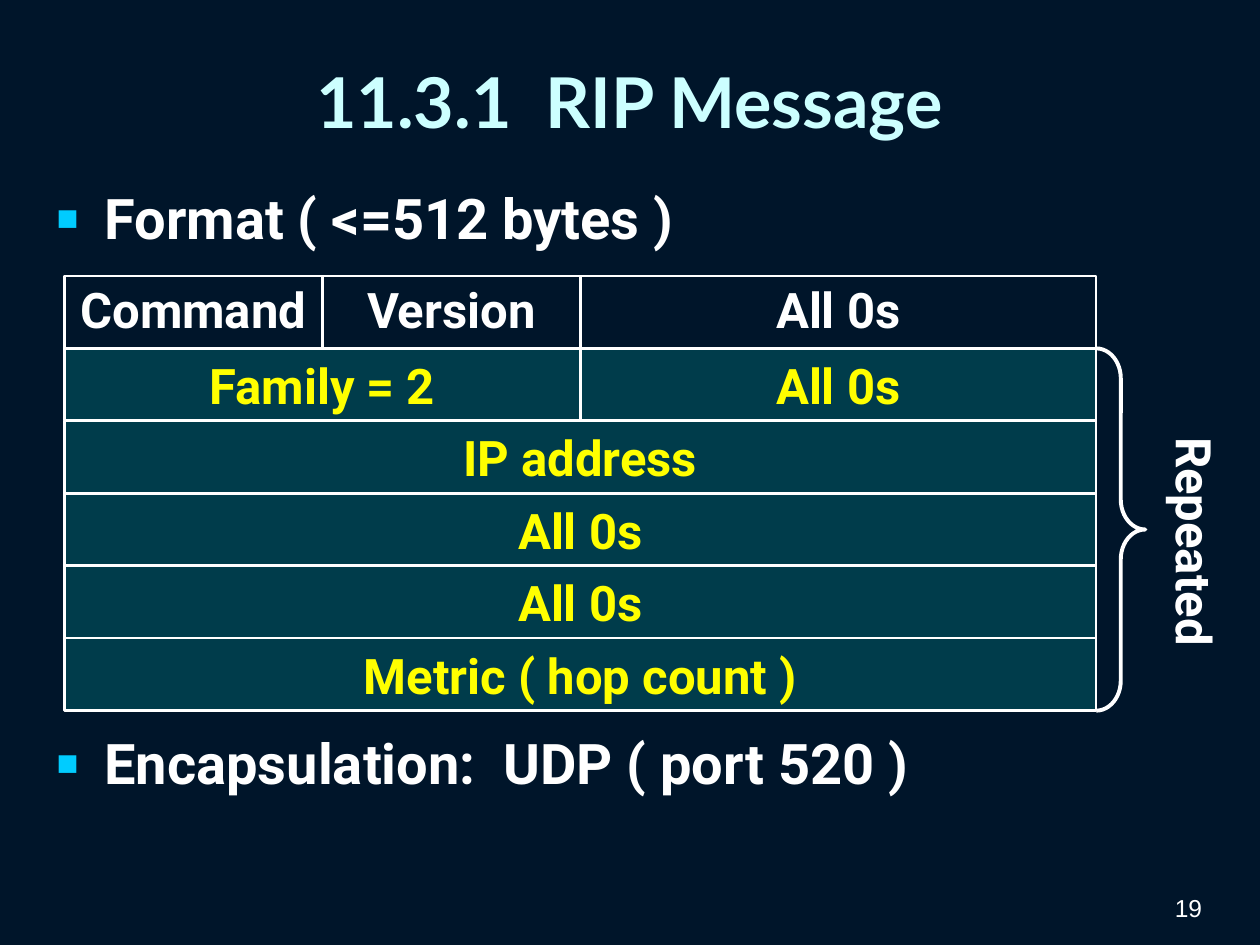
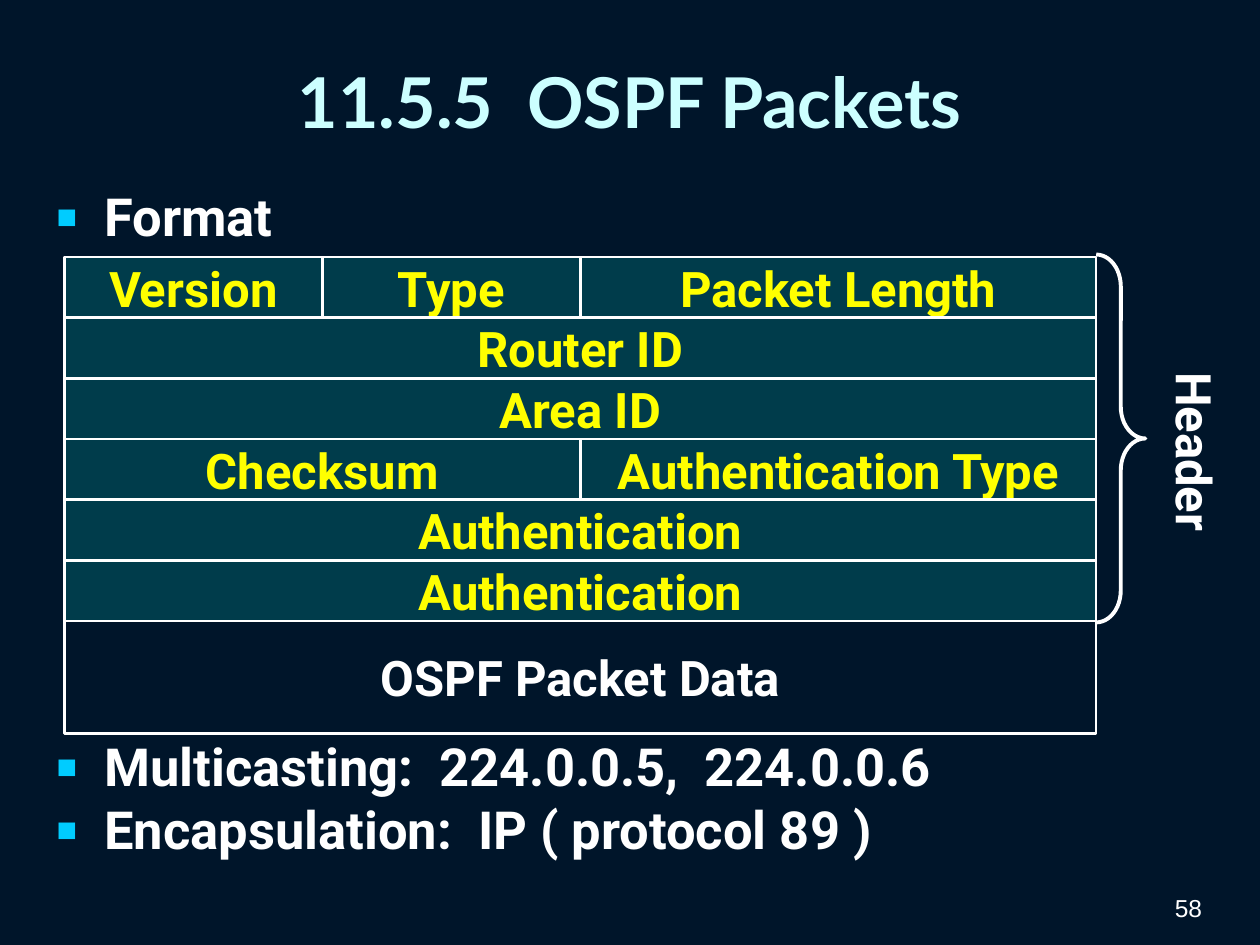
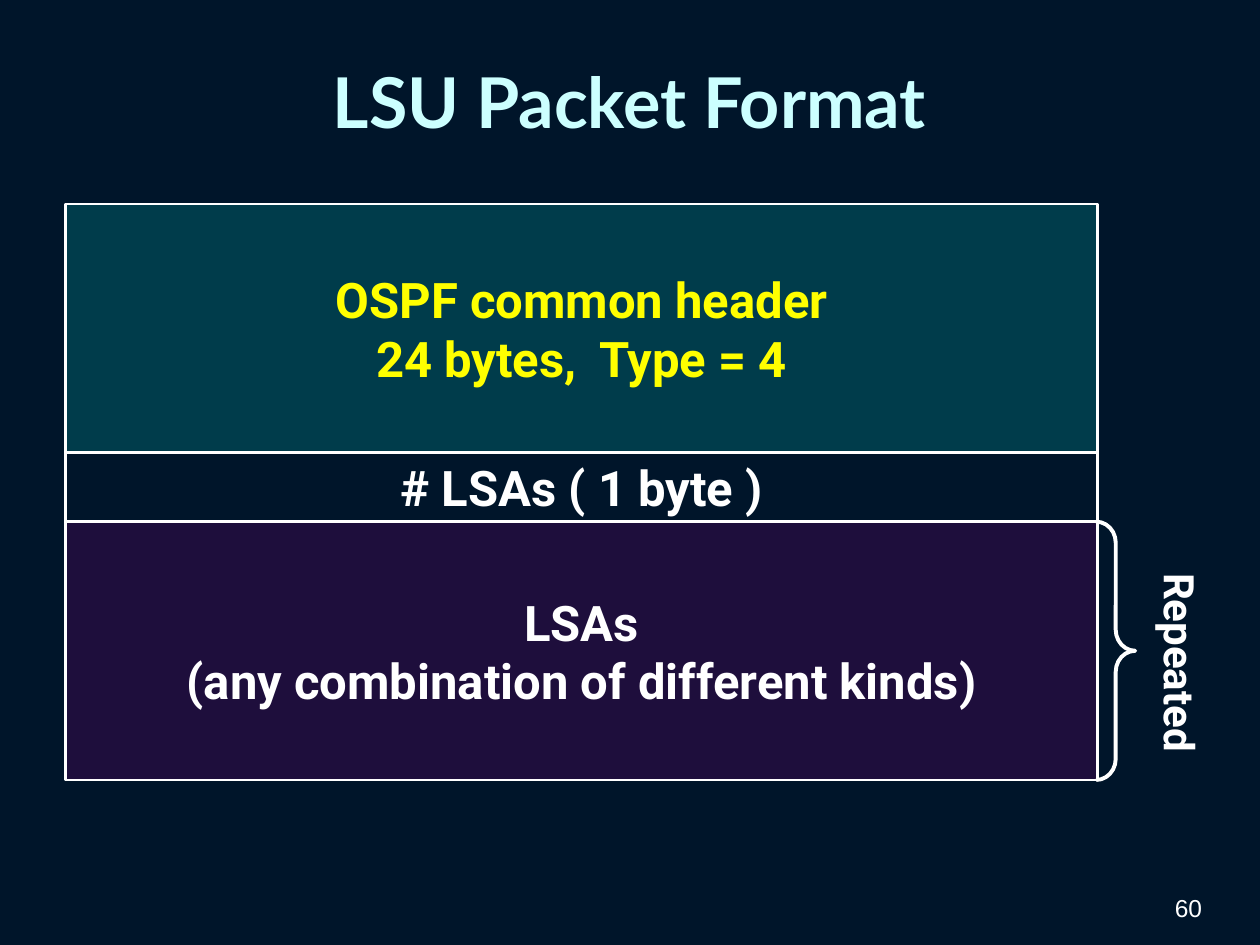
import dataclasses

import pptx
import pptx.dml.color
import pptx.enum.shapes
import pptx.enum.text
import pptx.oxml.ns
import pptx.oxml.xmlchemy
import pptx.util
from pptx.util import Inches

ALIGN = pptx.enum.text.PP_ALIGN
ANCHOR = pptx.enum.text.MSO_ANCHOR
SHAPE = pptx.enum.shapes.MSO_SHAPE
qn = pptx.oxml.ns.qn


@dataclasses.dataclass(frozen=True)
class Theme:
    background: str = "00152A"
    title: str = "CCFFFF"
    text: str = "FFFFFF"
    highlight: str = "FFFF00"
    bullet: str = "00CCFF"
    header_fill: str = "009999"
    repeated_fill: str = "660066"
    fill_opacity: int = 30
    title_font: str = "Lato"
    body_font: str = "Roboto"
    number_font: str = "Arial"
    title_size: int = 40
    field_size: int = 28
    number_size: int = 14
    field_line: float = 1.5
    brace_line: float = 2.25


THEME = Theme()


@dataclasses.dataclass(frozen=True)
class FieldStyle:
    fill: str | None
    color: str


PLAIN = FieldStyle(None, THEME.text)
HEADER = FieldStyle(THEME.header_fill, THEME.highlight)
REPEATED = FieldStyle(THEME.repeated_fill, THEME.text)


@dataclasses.dataclass(frozen=True)
class Row:
    """One row of a message: (text, share of the width) for each field."""
    height: float
    style: FieldStyle
    fields: list
    line_spacing: float = 1.0


def rgb(color):
    return pptx.dml.color.RGBColor.from_string(color)


def add_run(paragraph, text, size, color=THEME.text, font=THEME.body_font, bold=True):
    run = paragraph.add_run()
    run.text = text
    run.font.name = font
    run.font.size = pptx.util.Pt(size)
    run.font.bold = bold
    run.font.color.rgb = rgb(color)


def add_text_box(slide, left, top, width, height, anchor=ANCHOR.TOP):
    box = slide.shapes.add_textbox(Inches(left), Inches(top), Inches(width), Inches(height))
    box.text_frame.word_wrap = True
    box.text_frame.vertical_anchor = anchor
    return box.text_frame


def add_outlined_shape(slide, kind, left, top, width, height, line_width):
    shape = slide.shapes.add_shape(
        kind, Inches(left), Inches(top), Inches(width), Inches(height))
    shape.shadow.inherit = False
    shape.fill.background()
    shape.line.color.rgb = rgb(THEME.text)
    shape.line.width = pptx.util.Pt(line_width)
    return shape


def add_base_slide(presentation, title, number):
    """Blank slide with the shared title and page number."""
    slide = presentation.slides.add_slide(presentation.slide_layouts[6])
    number_frame = add_text_box(slide, 7.31, 6.9, 2.33, 0.47, ANCHOR.BOTTOM)
    paragraph = number_frame.paragraphs[0]
    paragraph.alignment = ALIGN.RIGHT
    add_run(paragraph, number, THEME.number_size, font=THEME.number_font, bold=False)

    title_frame = add_text_box(slide, 0.35, 0.13, 9.29, 1.34, ANCHOR.MIDDLE)
    paragraph = title_frame.paragraphs[0]
    paragraph.alignment = ALIGN.CENTER
    add_run(paragraph, title, THEME.title_size, THEME.title, THEME.title_font)
    return slide


def add_bullets(slide, height, size, items):
    """Bulleted body; each item is (space before in points, text)."""
    frame = add_text_box(slide, 0.35, 1.47, 9.29, height)
    for index, (space_before, text) in enumerate(items):
        paragraph = frame.add_paragraph() if index else frame.paragraphs[0]
        paragraph.line_spacing = 0.9
        paragraph.space_before = pptx.util.Pt(space_before)
        properties = paragraph._p.get_or_add_pPr()
        properties.set("marL", str(Inches(0.38)))
        properties.set("indent", str(Inches(-0.38)))
        bullet_color = properties.makeelement(qn("a:buClr"), {})
        bullet_color.append(properties.makeelement(qn("a:srgbClr"), {"val": THEME.bullet}))
        properties.append(bullet_color)
        for tag, attributes in (("a:buSzPct", {"val": "65000"}),
                                ("a:buFont", {"typeface": THEME.number_font}),
                                ("a:buChar", {"char": "■"})):
            properties.append(properties.makeelement(qn(tag), attributes))
        add_run(paragraph, text, size)


def add_field(slide, left, top, width, row, text):
    """One rectangular field of a message."""
    field = add_outlined_shape(
        slide, SHAPE.RECTANGLE, left, top, width, row.height, THEME.field_line)
    if row.style.fill:
        field.fill.solid()
        field.fill.fore_color.rgb = rgb(row.style.fill)
        color = field.element.spPr.find(qn("a:solidFill")).find(qn("a:srgbClr"))
        opacity = str(THEME.fill_opacity * 1000)
        color.append(color.makeelement(qn("a:alpha"), {"val": opacity}))
    frame = field.text_frame
    frame.word_wrap = False
    frame.vertical_anchor = ANCHOR.MIDDLE
    for index, line in enumerate(text.split("\n")):
        paragraph = frame.add_paragraph() if index else frame.paragraphs[0]
        paragraph.alignment = ALIGN.CENTER
        paragraph.line_spacing = row.line_spacing
        add_run(paragraph, line, THEME.field_size, row.style.color)


def add_message(slide, left, top, rows, width=8.19):
    """Stack the rows from the top, splitting each by its fields' shares."""
    for row in rows:
        field_left = left
        for text, share in row.fields:
            add_field(slide, field_left, top, width * share, row, text)
            field_left += width * share
        top += row.height


def add_brace(slide, top, width, height, curve, label, label_size, label_box):
    """Brace at the right of a message, with a vertical label beside it."""
    left = 8.7
    brace = add_outlined_shape(
        slide, SHAPE.RIGHT_BRACE, left, top, width, height, THEME.brace_line)
    brace.adjustments[0] = curve
    brace.adjustments[1] = 0.5

    label_width, label_height = label_box
    label_top = top + (height - label_height) / 2 + 0.03
    frame = add_text_box(slide, left + width + 0.01, label_top, label_width, label_height)
    frame.word_wrap = False
    frame.auto_size = pptx.enum.text.MSO_AUTO_SIZE.SHAPE_TO_FIT_TEXT
    frame._txBody.bodyPr.set("vert", "eaVert")
    paragraph = frame.paragraphs[0]
    paragraph.alignment = ALIGN.CENTER
    add_run(paragraph, label, label_size)


def build_rip_message(presentation):
    slide = add_base_slide(presentation, "11.3.1  RIP Message", "19")
    add_bullets(slide, 5.43, 32, [
        (0, "Format ( <=512 bytes )"),
        (276.5, "Encapsulation:  UDP ( port 520 )"),
    ])
    top, height = 2.19, 3.45 / 6
    entry = [
        [("Family = 2", 1 / 2), ("All 0s", 1 / 2)],
        [("IP address", 1)],
        [("All 0s", 1)],
        [("All 0s", 1)],
        [("Metric ( hop count )", 1)],
    ]
    first_fields = [("Command", 1 / 4), ("Version", 1 / 4), ("All 0s", 1 / 2)]
    rows = [Row(height, PLAIN, first_fields, 0.9)]
    rows += [Row(height, HEADER, fields) for fields in entry]
    add_message(slide, 0.51, top, rows)
    add_brace(slide, top + height, 0.39, height * len(entry), 0.61,
              "Repeated", 28, (0.67, 1.72))


def build_ospf_packets(presentation):
    slide = add_base_slide(presentation, "11.5.5  OSPF Packets", "58")
    add_bullets(slide, 5.59, 30, [
        (0, "Format"),
        (282, "Multicasting:  224.0.0.5,  224.0.0.6"),
        (3.5, "Encapsulation:  IP ( protocol 89 )"),
    ])
    height = 2.89 / 6
    header = [
        [("Version", 1 / 4), ("Type", 1 / 4), ("Packet Length", 1 / 2)],
        [("Router ID", 1)],
        [("Area ID", 1)],
        [("Checksum", 1 / 2), ("Authentication Type", 1 / 2)],
        [("Authentication", 1)],
        [("Authentication", 1)],
    ]
    rows = [Row(height, HEADER, fields) for fields in header]
    rows.append(Row(0.89, PLAIN, [("OSPF Packet Data", 1)]))
    add_message(slide, 0.51, 2.04, rows)
    add_brace(slide, 2.02, 0.39, 2.92, 0.65, "Header", 28, (0.67, 1.31))


def build_lsu_format(presentation):
    slide = add_base_slide(presentation, "LSU Packet Format", "60")
    add_message(slide, 0.52, 1.62, [
        Row(1.97, HEADER, [("OSPF common header\n24 bytes,  Type = 4", 1)]),
        Row(0.55, PLAIN, [("# LSAs ( 1 byte )", 1)]),
        Row(2.05, REPEATED, [("LSAs\n(any combination of different kinds)", 1)]),
    ])
    add_brace(slide, 4.14, 0.31, 2.05, 0.54, "Repeated", 24, (0.6, 1.49))


def main():
    presentation = pptx.Presentation()
    presentation.slide_width = Inches(10)
    presentation.slide_height = Inches(7.5)
    # Shared background for every slide
    background = presentation.slide_master.background.fill
    background.solid()
    background.fore_color.rgb = rgb(THEME.background)

    build_rip_message(presentation)
    build_ospf_packets(presentation)
    build_lsu_format(presentation)
    presentation.save("out.pptx")


if __name__ == "__main__":
    main()
